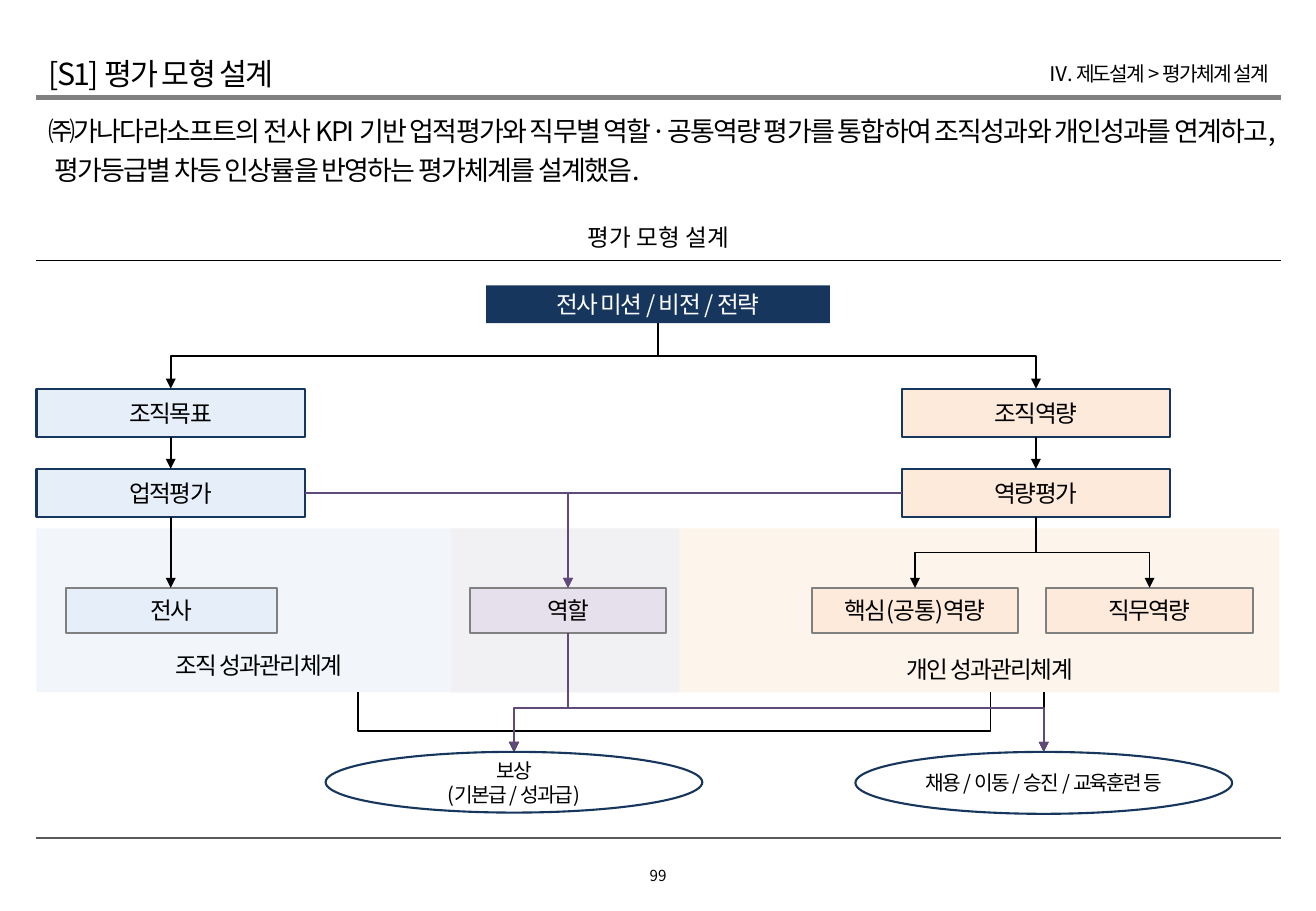
from dataclasses import dataclass

from lxml import etree
from pptx import Presentation
from pptx.dml.color import RGBColor
from pptx.enum.shapes import MSO_CONNECTOR, MSO_SHAPE
from pptx.enum.text import MSO_ANCHOR, PP_ALIGN
from pptx.oxml.ns import qn
from pptx.util import Inches, Pt

FONT = "Noto Sans CJK KR"
COLORS = {
    "black": "000000", "white": "FFFFFF", "navy": "17365D", "gray": "808080",
    "dark_gray": "595959", "blue": "E6EEF9", "orange": "FDEADA",
    "lilac": "E6E0EC", "purple": "604A7B",
}
RECTANGLE, OVAL = MSO_SHAPE.RECTANGLE, MSO_SHAPE.OVAL
STRAIGHT, ELBOW = MSO_CONNECTOR.STRAIGHT, MSO_CONNECTOR.ELBOW
TOP, MIDDLE = MSO_ANCHOR.TOP, MSO_ANCHOR.MIDDLE
LEFT, CENTER, RIGHT, JUSTIFY = PP_ALIGN.LEFT, PP_ALIGN.CENTER, PP_ALIGN.RIGHT, PP_ALIGN.JUSTIFY


@dataclass
class Box:
    """A rectangle in inches."""
    left: float
    top: float
    width: float
    height: float

    def inside(self, left, top, width, height):
        """Return a box offset from this one."""
        return Box(self.left + left, self.top + top, width, height)

    def at(self, across, down):
        """Return the point at the given fractions of width and height."""
        return self.left + across * self.width, self.top + down * self.height

    def lengths(self):
        """Return left, top, width and height as lengths."""
        return [Inches(value) for value in (self.left, self.top, self.width, self.height)]


def rgb(name):
    """Look up a colour."""
    return RGBColor.from_string(COLORS[name])


def write(shape, text, size, align=CENTER, anchor=MIDDLE, color="black",
          wrap=True, spacing=1.0, tracking=-100, margins=(0.1, 0.05)):
    """Fill a shape with one formatted paragraph."""
    frame = shape.text_frame
    frame.word_wrap, frame.vertical_anchor = wrap, anchor
    frame.margin_left = frame.margin_right = Inches(margins[0])
    frame.margin_top = frame.margin_bottom = Inches(margins[1])
    frame.text = text
    paragraph = frame.paragraphs[0]
    paragraph.alignment, paragraph.line_spacing = align, spacing
    font = paragraph.font
    font.size, font.name, font.color.rgb = Pt(size), FONT, rgb(color)
    properties = paragraph._p.pPr.find(qn("a:defRPr"))
    properties.set("spc", str(tracking))
    etree.SubElement(properties, qn("a:ea"), typeface=FONT)


def add_text(slide, box, text, size, **style):
    """Add a text box."""
    write(slide.shapes.add_textbox(*box.lengths()), text, size, **style)


def add_block(slide, box, fill, line=None, kind=RECTANGLE, alpha=None):
    """Add a filled shape, outlined or translucent on request."""
    shape = slide.shapes.add_shape(kind, *box.lengths())
    shape.shadow.inherit = False
    shape.fill.solid()
    shape.fill.fore_color.rgb = rgb(fill)
    if alpha:
        color = shape._element.spPr.find(qn("a:solidFill"))[0]
        etree.SubElement(color, qn("a:alpha"), val=str(alpha * 1000))
    if line:
        shape.line.color.rgb, shape.line.width = rgb(line), Pt(1.25)
    else:
        shape.line.fill.background()
    return shape


def add_node(slide, box, text, fill, line=None, color="black"):
    """Add a labelled rectangle and return its box."""
    write(add_block(slide, box, fill, line), text, 14, color=color, wrap=False)
    return box


def add_line(slide, start, end, color="black", width=1.0, arrow=False, kind=STRAIGHT):
    """Add a connector, with an arrowhead at its end on request."""
    connector = slide.shapes.add_connector(kind, *[Inches(value) for value in (*start, *end)])
    connector.line.color.rgb, connector.line.width = rgb(color), Pt(width)
    properties = connector._element.spPr
    if arrow:
        etree.SubElement(properties.find(qn("a:ln")), qn("a:tailEnd"), type="triangle")
    etree.SubElement(properties, qn("a:effectLst"))
    return connector


def add_side_elbow(slide, start, end, color):
    """Add an arrow that runs sideways and then down."""
    connector = add_line(slide, start, end, color, arrow=True, kind=ELBOW)
    connector._element.spPr.find(qn("a:prstGeom")).set("prst", "bentConnector2")


def add_down_elbow(slide, start, end, color="black", bend=0.5):
    """Add an arrow that runs down, sideways and down again."""
    connector = add_line(slide, start, end, color, arrow=True, kind=ELBOW)
    across, down = end[0] - start[0], end[1] - start[1]
    middle_x, middle_y = (start[0] + end[0]) / 2, (start[1] + end[1]) / 2
    turned = Box(middle_x - down / 2, middle_y - abs(across) / 2, down, abs(across))
    connector.left, connector.top, connector.width, connector.height = turned.lengths()
    frame = connector._element.spPr.find(qn("a:xfrm"))
    frame.set("rot", "5400000" if across < 0 else "16200000")
    frame.set("flipH", "0" if across < 0 else "1")
    guides = connector._element.spPr.find(qn("a:prstGeom")).find(qn("a:avLst"))
    etree.SubElement(guides, qn("a:gd"), name="adj1", fmla=f"val {round(bend * 100000)}")


def add_header(slide, box):
    """Place the title, the section path, the rule and the key message."""
    title = slide.shapes.title
    title.left, title.top, title.width, title.height = box.inside(0, 0, 6, 0.35).lengths()
    write(title, "[S1] 평가 모형 설계", 18, align=LEFT)
    add_text(slide, box.inside(box.width - 4.18, 0, 4.18, 0.35),
             "Ⅳ. 제도설계 > 평가체계 설계", 12, align=RIGHT)
    rule = box.inside(0, 0.37, box.width, 0)
    add_line(slide, rule.at(0, 0), rule.at(1, 0), "gray", 3)
    add_text(slide, box.inside(0, 0.41, box.width, 0.35),
             "㈜가나다라소프트의 전사 KPI 기반 업적평가와 직무별 역할·공통역량 평가를 통합하여 "
             "조직성과와 개인성과를 연계하고, 평가등급별 차등 인상률을 반영하는 평가체계를 설계했음.",
             16, align=JUSTIFY, anchor=TOP, spacing=1.2)


def add_subtitle(slide, box):
    """Place the diagram heading above its rule."""
    add_text(slide, box, "평가 모형 설계", 14, wrap=False, tracking=0)
    add_line(slide, box.at(0, 1.06), box.at(1, 1.06), width=0.5)


def add_model(slide, box):
    """Place the evaluation model diagram."""
    orange_band = box.inside(3.41, 2, 6.82, 1.35)
    blue_band = box.inside(0, 2, 5.29, 1.35)
    add_block(slide, orange_band, "orange", alpha=50)
    add_block(slide, blue_band, "blue", alpha=50)

    mission = add_node(slide, box.inside(3.7, 0, 2.83, 0.31), "전사 미션 / 비전 / 전략", "navy", color="white")
    columns = []
    for left, fill, labels in ((0, "blue", ("조직목표", "업적평가")),
                               (7.12, "orange", ("조직역량", "역량평가"))):
        columns.append([add_node(slide, box.inside(left, 0.85 + 0.66 * row, 2.21, 0.4), label, fill, "navy")
                        for row, label in enumerate(labels)])
    company, role, core, job = [
        add_node(slide, box.inside(left, 2.49, width, 0.37), label, fill, "gray")
        for left, width, label, fill in ((0.24, 1.74, "전사", "blue"), (3.57, 1.61, "역할", "lilac"),
                                         (6.38, 1.7, "핵심(공통)역량", "orange"), (8.31, 1.7, "직무역량", "orange"))]
    for label_box, label in ((box.inside(0.24, 2.93, 3.18, 0.38), "조직 성과관리체계"),
                             (box.inside(6.5, 2.96, 2.69, 0.38), "개인 성과관리체계")):
        add_text(slide, label_box, label, 14, anchor=TOP, margins=(0.08, 0.08))

    reward = box.inside(2.38, 3.84, 3.1, 0.5)
    staffing = box.inside(6.74, 3.84, 3.1, 0.51)
    for oval, label, wrap, margin in ((reward, "보상\v(기본급 / 성과급)", False, 0.08),
                                      (staffing, "채용 / 이동 / 승진 / 교육훈련 등", True, 0.03)):
        write(add_block(slide, oval, "white", "navy", OVAL), label, 12, wrap=wrap, margins=(margin, 0.08))

    for goal, review in columns:
        add_down_elbow(slide, mission.at(0.5, 1), goal.at(0.5, 0))
        add_line(slide, goal.at(0.5, 1), review.at(0.5, 0), arrow=True)
    performance, competency = columns[0][1], columns[1][1]
    add_line(slide, performance.at(0.5, 1), (performance.at(0.5, 1)[0], company.top), arrow=True)
    for target in (core, job):
        add_down_elbow(slide, competency.at(0.5, 1), target.at(0.5, 0))
    add_line(slide, (staffing.at(0.5, 0)[0], orange_band.at(0, 1)[1]), staffing.at(0.5, 0), arrow=True)
    for start in (blue_band.at(0.5, 1), (8.15, orange_band.at(0, 1)[1])):
        add_down_elbow(slide, start, reward.at(0.5, 0), bend=0.65)
    for start in (competency.at(0, 0.5), performance.at(1, 0.5)):
        add_side_elbow(slide, start, role.at(0.5, 0), "purple")
    for oval in (reward, staffing):
        add_down_elbow(slide, role.at(0.5, 1), oval.at(0.5, 0), "purple", 0.63)


def add_footer(slide, box):
    """Place the bottom rule and the page number."""
    add_line(slide, box.at(0, 0), box.at(1, 0), "dark_gray", 1.5)
    add_text(slide, box.inside(box.width / 2 - 0.33, 0.15, 0.65, 0.33), "99", 9,
             wrap=False, spacing=0.9, tracking=0)


def main():
    """Build and save the presentation."""
    presentation = Presentation()
    presentation.slide_width, presentation.slide_height = Inches(10.83), Inches(7.5)
    slide = presentation.slides.add_slide(presentation.slide_layouts[5])
    add_header(slide, Box(0.3, 0.43, 10.24, 1.2))
    add_subtitle(slide, Box(0.3, 1.78, 10.24, 0.34))
    add_model(slide, Box(0.3, 2.35, 10.24, 4.35))
    add_footer(slide, Box(0.3, 6.9, 10.24, 0.48))
    presentation.save("out.pptx")


if __name__ == "__main__":
    main()
